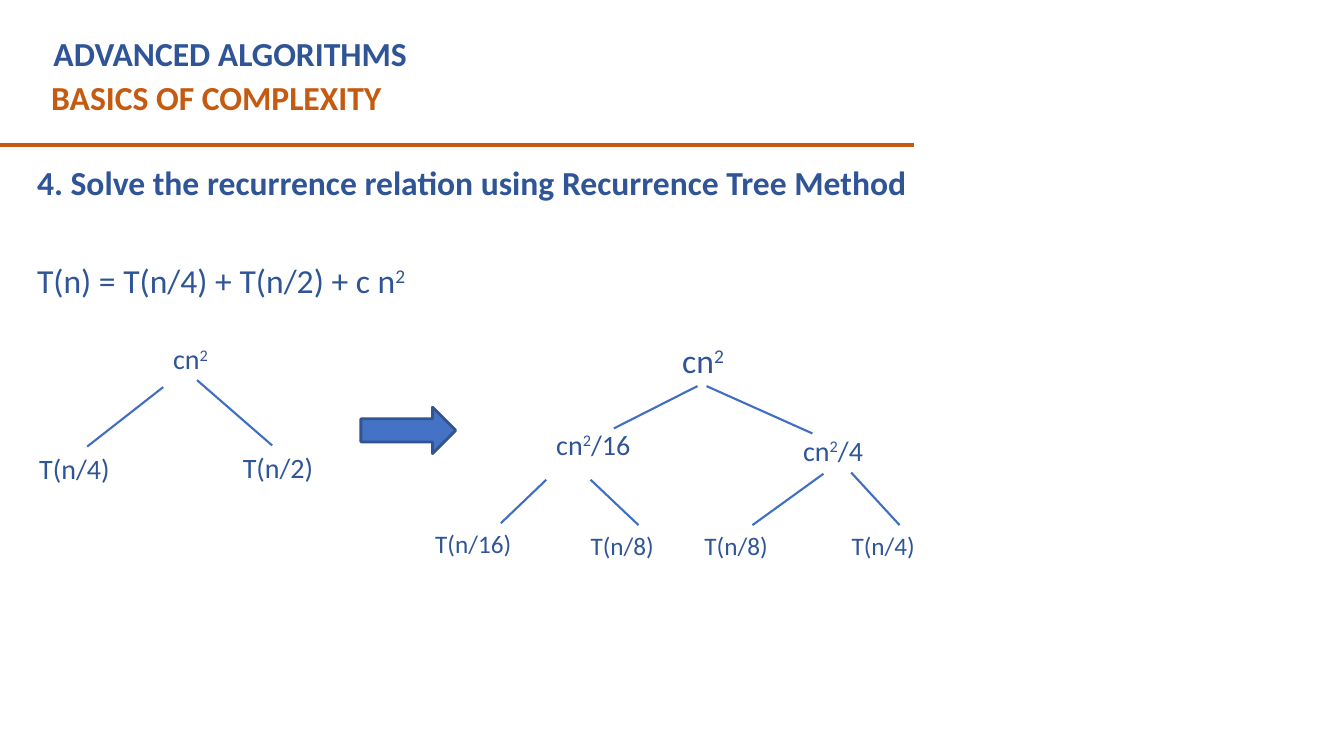
from dataclasses import dataclass

from lxml.etree import SubElement
from pptx import Presentation
from pptx.dml.color import RGBColor
from pptx.enum.shapes import MSO_CONNECTOR as CONNECTOR, MSO_SHAPE as SHAPE
from pptx.enum.text import MSO_ANCHOR as ANCHOR, MSO_AUTO_SIZE as AUTO_SIZE, PP_ALIGN as ALIGN
from pptx.oxml.ns import qn
from pptx.util import Pt


@dataclass(frozen=True)
class Theme:
    font: str = "Calibri"
    blue: RGBColor = RGBColor(0x2F, 0x55, 0x97)
    orange: RGBColor = RGBColor(0xC5, 0x5A, 0x11)
    branch: RGBColor = RGBColor(0x3F, 0x6E, 0xC2)
    arrow_fill: RGBColor = RGBColor(0x44, 0x72, 0xC4)
    arrow_line: RGBColor = RGBColor(0x32, 0x54, 0x91)
    heading: int = 24
    node: int = 20
    leaf: int = 18


THEME = Theme()
TOP, BOTTOM = 0, 2
NODE_WIDTH = 82.8


def write(paragraph, text, size, color=THEME.blue, bold=False):
    """Add text run by run; a part between carets is superscript."""
    for index, part in enumerate(text.split("^")):
        if not part:
            continue
        run = paragraph.add_run()
        run.text = part
        run.font.name = THEME.font
        run.font.size = Pt(size)
        run.font.bold = bold
        run.font.color.rgb = color
        if index % 2:
            run.font._element.set("baseline", "30000")


def add_text(shapes, left, top, width, height, text, size, color=THEME.blue, bold=False):
    box = shapes.add_textbox(Pt(left), Pt(top), Pt(width), Pt(height))
    box.text_frame.word_wrap = True
    write(box.text_frame.paragraphs[0], text, size, color, bold)
    return box


def add_line(shapes, start, end, color, weight):
    line = shapes.add_connector(CONNECTOR.STRAIGHT, *(Pt(value) for value in (*start, *end)))
    line.line.color.rgb = color
    line.line.width = Pt(weight)
    SubElement(line._element.spPr, qn("a:effectLst"))
    return line


def add_branch(shapes, start, end, parent=None, child=None):
    """Draw a tree edge, joined to the parent's bottom or the child's top if given."""
    branch = add_line(shapes, start, end, THEME.branch, 1.5)
    if parent is not None:
        branch.begin_connect(parent, BOTTOM)
    if child is not None:
        branch.end_connect(child, TOP)


def add_title(slide):
    title = slide.shapes.title
    title.left, title.top, title.width, title.height = Pt(31), Pt(20.2), Pt(590.4), Pt(36)
    frame = title.text_frame
    frame.auto_size = AUTO_SIZE.NONE
    frame.word_wrap = True
    frame.vertical_anchor = ANCHOR.TOP
    paragraph = frame.paragraphs[0]
    paragraph.alignment = ALIGN.LEFT
    paragraph.line_spacing = 1.0
    write(paragraph, "ADVANCED ALGORITHMS", THEME.heading, THEME.blue, True)


def add_problem(shapes):
    box = shapes.add_textbox(Pt(12.2), Pt(101.5), Pt(653), Pt(127.4))
    frame = box.text_frame
    frame.word_wrap = True
    frame.vertical_anchor = ANCHOR.MIDDLE
    frame.margin_top = frame.margin_bottom = 0
    question, recurrence = frame.paragraphs[0], frame.add_paragraph()
    for paragraph in (question, recurrence):
        paragraph.alignment = ALIGN.JUSTIFY
        paragraph.space_after = Pt(6)
        paragraph._p.get_or_add_pPr().set("marL", str(Pt(7.2)))
    recurrence.space_before = Pt(35.3)
    write(question, "4. Solve the recurrence relation using Recurrence Tree Method",
          THEME.heading, bold=True)
    write(recurrence, "T(n) = T(n/4) + T(n/2) + c n^2^", THEME.heading)


def add_first_tree(slide):
    shapes = slide.shapes.add_group_shape().shapes
    root = add_text(shapes, 116.6, 240.5, 48.2, 31, "cn^2^", THEME.node)
    quarter = add_text(shapes, 20.9, 319, NODE_WIDTH, 31, "T(n/4)", THEME.node)
    add_text(shapes, 166.3, 318.2, NODE_WIDTH, 31, "T(n/2)", THEME.node)
    add_branch(shapes, (116.6, 276.5), (62.6, 319), child=quarter)
    add_branch(shapes, (141.1, 271.8), (194.4, 318.2), parent=root)


def add_second_tree(slide):
    shapes = slide.shapes.add_group_shape().shapes
    add_text(shapes, 480.2, 239, 48.2, 64.8, "cn^2^", THEME.heading)
    add_text(shapes, 390.2, 301.7, NODE_WIDTH, 31, "cn^2^/16", THEME.node)
    right = add_text(shapes, 566.6, 306, NODE_WIDTH, 31.5, "cn^2^/4", THEME.node)
    leaves = [
        add_text(shapes, left, top, NODE_WIDTH, 28.8, text, THEME.leaf)
        for left, top, text in (
            (303.8, 373.7, "T(n/16)"),
            (414.7, 375.1, "T(n/8)"),
            (496.1, 375.1, "T(n/8)"),
            (601.2, 375.1, "T(n/4)"),
        )
    ]
    add_branch(shapes, (498.2, 275.8), (438.5, 306))
    add_branch(shapes, (504.7, 275.8), (580.3, 309.6))
    add_branch(shapes, (390.2, 342.7), (357.8, 373.7))
    add_branch(shapes, (421.9, 342.7), (456.5, 375.1), child=leaves[1])
    add_branch(shapes, (588.2, 338.4), (537.8, 375.1), child=leaves[2])
    add_branch(shapes, (607.7, 337.7), (642.2, 375.1), parent=right, child=leaves[3])


def add_expansion_arrow(shapes):
    arrow = shapes.add_shape(SHAPE.RIGHT_ARROW, Pt(257.8), Pt(290.9), Pt(67.7), Pt(33.1))
    arrow.shadow.inherit = False
    arrow.fill.solid()
    arrow.fill.fore_color.rgb = THEME.arrow_fill
    arrow.line.color.rgb = THEME.arrow_line
    arrow.line.width = Pt(2)


def main():
    deck = Presentation()
    deck.slide_width, deck.slide_height = Pt(960), Pt(540)
    slide = deck.slides.add_slide(deck.slide_layouts[5])
    add_title(slide)
    add_text(slide.shapes, 29.5, 51.1, 630, 36, "BASICS OF COMPLEXITY",
             THEME.heading, THEME.orange, True)
    add_line(slide.shapes, (0, 103.7), (653, 103.7), THEME.orange, 3)
    add_problem(slide.shapes)
    add_first_tree(slide)
    add_second_tree(slide)
    add_expansion_arrow(slide.shapes)
    deck.save("out.pptx")


if __name__ == "__main__":
    main()
